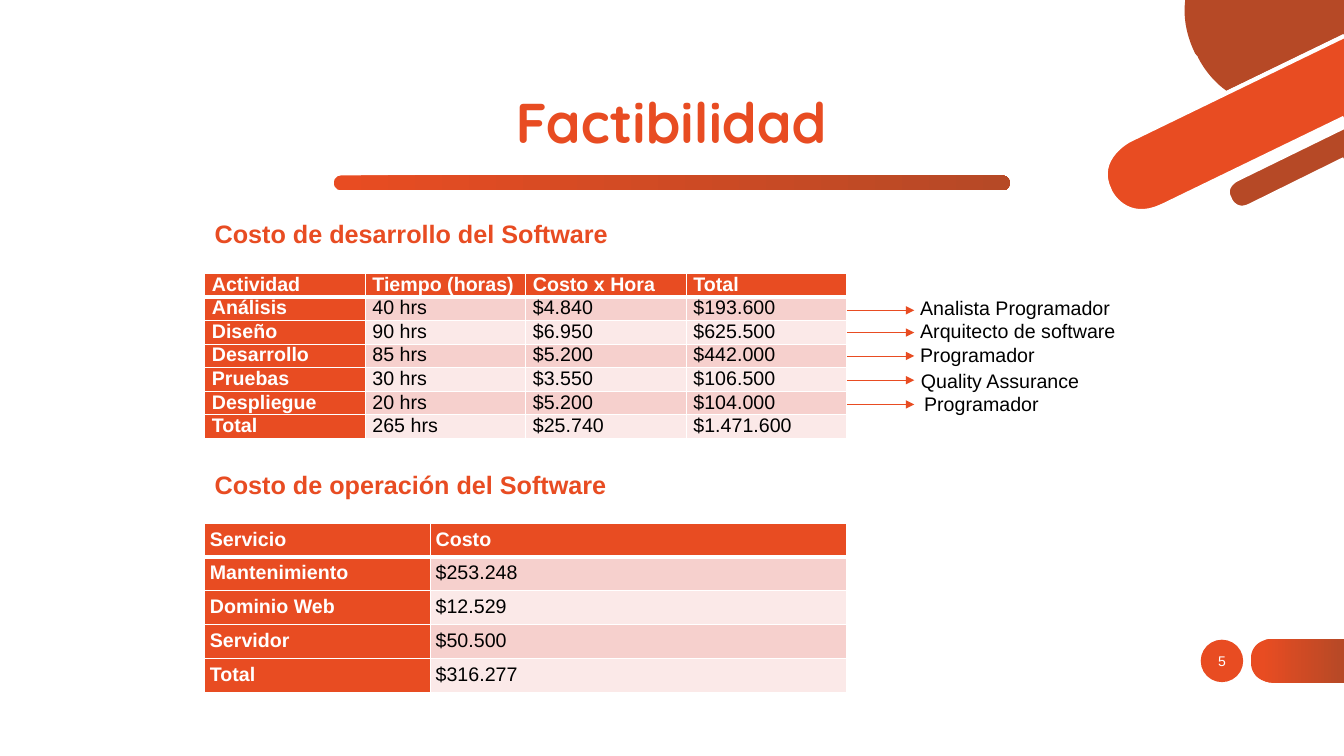
"""Build the feasibility slide with development and operation cost tables."""
from lxml import etree
from pptx import Presentation
from pptx.dml.color import RGBColor
from pptx.enum.shapes import MSO_CONNECTOR, MSO_SHAPE
from pptx.enum.text import MSO_ANCHOR, PP_ALIGN
from pptx.oxml.ns import qn
from pptx.util import Cm, Pt

STRAIGHT = MSO_CONNECTOR.STRAIGHT
OVAL, ROUNDED = MSO_SHAPE.OVAL, MSO_SHAPE.ROUNDED_RECTANGLE
TOP, MIDDLE, BOTTOM = MSO_ANCHOR.TOP, MSO_ANCHOR.MIDDLE, MSO_ANCHOR.BOTTOM
LEFT, CENTER, JUSTIFY = PP_ALIGN.LEFT, PP_ALIGN.CENTER, PP_ALIGN.JUSTIFY

ORANGE = RGBColor(0xE8, 0x4C, 0x22)
RUST = RGBColor(0xB6, 0x49, 0x26)
PINK = RGBColor(0xF6, 0xD0, 0xCD)
PALE = RGBColor(0xFB, 0xE9, 0xE8)
WHITE = RGBColor(0xFF, 0xFF, 0xFF)
BLACK = RGBColor(0x00, 0x00, 0x00)

TITLE = "Factibilidad"
PAGE_NUMBER = "5"
HEADINGS = [
    ("Costo de desarrollo del Software", 5.46),
    ("Costo de operación del Software", 11.79),
]
DEVELOPMENT = [
    ("Actividad", "Tiempo (horas)", "Costo x Hora", "Total"),
    ("Análisis", "40 hrs", "$4.840", "$193.600"),
    ("Diseño", "90 hrs", "$6.950", "$625.500"),
    ("Desarrollo", "85 hrs", "$5.200", "$442.000"),
    ("Pruebas", "30 hrs", "$3.550", "$106.500"),
    ("Despliegue", "20 hrs", "$5.200", "$104.000"),
    ("Total", "265 hrs", "$25.740", "$1.471.600"),
]
OPERATION = [
    ("Servicio", "Costo"),
    ("Mantenimiento", "$253.248"),
    ("Dominio Web", "$12.529"),
    ("Servidor", "$50.500"),
    ("Total", "$316.277"),
]
ROLES = [
    ("Analista Programador", 22.94, 7.34, 7.82),
    ("Arquitecto de software", 22.94, 7.92, 8.38),
    ("Programador", 22.94, 8.51, 8.97),
    ("Quality Assurance", 22.96, 9.17, 9.58),
    ("Programador", 23.04, 9.75, 10.19),
]
TABLE_LEFT, TABLE_WIDTH = 5.16, 16.18
ARROW_LENGTH = 1.7

# Each outline holds a start, then line ends (2 numbers) or cubic curves (6).
DISC = [(30.18, 1.42), (30.18, 1.42, 30.4, 1.93, 30.91, 2.29), (33.87, 0.86),
        (33.87, 0), (29.87, 0), (29.82, 0.38, 29.87, 0.84, 30.12, 1.35)]
WIDE_BAND = [(33.87, 0.91), (28.47, 3.53), (28.47, 3.53, 27.56, 3.99, 27.97, 4.8),
             (27.97, 4.83, 28.37, 5.64, 29.31, 5.18), (33.87, 2.97)]
THIN_BAND = [(33.87, 3.2), (31.17, 4.52), (31.17, 4.52, 30.81, 4.7, 30.99, 5),
             (30.99, 5.03, 31.14, 5.36, 31.5, 5.18), (33.87, 4.01)]
PAGE_TAB = [(33.87, 17.2), (32.05, 17.2), (32.05, 17.2, 31.52, 17.2, 31.52, 16.64),
            (31.52, 16.1, 32.05, 16.1, 32.05, 16.1), (33.87, 16.1)]


def trace(outline, steps=16):
    points = [outline[0]]
    for segment in outline[1:]:
        if len(segment) == 2:
            points.append(segment)
            continue
        x0, y0 = points[-1]
        x1, y1, x2, y2, x3, y3 = segment
        for step in range(1, steps + 1):
            t = step / steps
            a, b, c, d = (1 - t) ** 3, 3 * t * (1 - t) ** 2, 3 * t * t * (1 - t), t ** 3
            points.append((a * x0 + b * x1 + c * x2 + d * x3,
                           a * y0 + b * y1 + c * y2 + d * y3))
    return [(Cm(x), Cm(y)) for x, y in points]


def add_outline(slide, outline, color=None):
    start, *rest = trace(outline)
    builder = slide.shapes.build_freeform(*start)
    builder.add_line_segments(rest, close=color is not None)
    shape = builder.convert_to_shape()
    shape.shadow.inherit = False
    if color is None:
        shape.fill.background()
        shape.line.color.rgb = WHITE
        shape.line.width = Pt(3)
    else:
        paint(shape, color)
    return shape


def paint(shape, color):
    shape.shadow.inherit = False
    shape.fill.solid()
    shape.fill.fore_color.rgb = color
    shape.line.fill.background()


def paint_gradient(shape, start=0):
    paint(shape, ORANGE)
    shape.fill.gradient()
    shape.fill.gradient_angle = 0
    for stop, color, position in zip(shape.fill.gradient_stops, (ORANGE, RUST), (start, 1)):
        stop.color.rgb = color
        stop.position = position


def write(frame, text, size, color, bold=False, align=LEFT, anchor=TOP, name="Arial"):
    frame.word_wrap = True
    frame.vertical_anchor = anchor
    paragraph = frame.paragraphs[0]
    paragraph.text = text
    paragraph.alignment = align
    font = paragraph.font
    font.name, font.size, font.bold = name, Pt(size), bold
    font.color.rgb = color
    return paragraph


def add_text(slide, box, *args, **options):
    frame = slide.shapes.add_textbox(*map(Cm, box)).text_frame
    return write(frame, *args, **options)


def add_borders(cell, row):
    properties = cell._tc.get_or_add_tcPr()
    for side in "LRTB":
        heavy = (row, side) in ((0, "B"), (1, "T"))
        line = etree.SubElement(properties, qn(f"a:ln{side}"), w=str(Pt(3 if heavy else 1)))
        fill = etree.SubElement(line, qn("a:solidFill"))
        etree.SubElement(fill, qn("a:srgbClr"), val=str(WHITE))


def add_cost_table(slide, rows, top, widths, row_height, side_margin, edge_margin):
    table = slide.shapes.add_table(
        len(rows), len(widths), Cm(TABLE_LEFT), Cm(top),
        Cm(TABLE_WIDTH), Cm(row_height * len(rows))).table
    for column, width in zip(table.columns, widths):
        column.width = Cm(width)
    for r, values in enumerate(rows):
        table.rows[r].height = Cm(row_height)
        for c, value in enumerate(values):
            cell = table.cell(r, c)
            label = r == 0 or c == 0
            cell.margin_left = cell.margin_right = Cm(side_margin)
            cell.margin_top = cell.margin_bottom = Cm(edge_margin)
            add_borders(cell, r)
            cell.fill.solid()
            cell.fill.fore_color.rgb = ORANGE if label else PINK if r % 2 else PALE
            write(cell.text_frame, value, 14, WHITE if label else BLACK, bold=label)


def add_arrow(slide, y):
    left = TABLE_LEFT + TABLE_WIDTH
    arrow = slide.shapes.add_connector(
        STRAIGHT, Cm(left), Cm(y), Cm(left + ARROW_LENGTH), Cm(y))
    arrow.line.color.rgb = ORANGE
    arrow.line.width = Pt(0.5)
    etree.SubElement(arrow.line._get_or_add_ln(), qn("a:tailEnd"), type="triangle")
    etree.SubElement(arrow._element.spPr, qn("a:effectLst"))


def main():
    presentation = Presentation()
    presentation.slide_width, presentation.slide_height = Cm(33.87), Cm(19.05)
    slide = presentation.slides.add_slide(presentation.slide_layouts[6])

    badge = slide.shapes.add_shape(OVAL, Cm(30.26), Cm(16.12), Cm(1.07), Cm(1.07))
    paint(badge, ORANGE)
    frame = badge.text_frame
    frame.margin_left = frame.margin_right = frame.margin_top = frame.margin_bottom = 0
    write(frame, PAGE_NUMBER, 10, WHITE, align=CENTER, anchor=MIDDLE)
    paint_gradient(add_outline(slide, PAGE_TAB, ORANGE), 0.12)
    rule = slide.shapes.add_shape(ROUNDED, Cm(8.41), Cm(4.42), Cm(17.04), Cm(0.38))
    rule.adjustments[0] = 0.5
    paint_gradient(rule)

    add_outline(slide, DISC, RUST)
    for band, color in ((WIDE_BAND, ORANGE), (THIN_BAND, RUST)):
        add_outline(slide, band, color)
        add_outline(slide, band)

    title = add_text(slide, (2.31, 2.16, 29.21, 1.88), TITLE, 40, ORANGE, bold=True,
                     align=CENTER, anchor=BOTTOM, name="Quicksand")
    title.line_spacing = 0.9
    for text, top in HEADINGS:
        heading = add_text(slide, (TABLE_LEFT, top, 10.69, 1.37), text, 18, ORANGE,
                           bold=True, align=JUSTIFY)
        heading.line_spacing = 0.9

    add_cost_table(slide, DEVELOPMENT, 6.89, [TABLE_WIDTH / 4] * 4, 0.55, 0.18, 0)
    add_cost_table(slide, OPERATION, 13.18, [5.69, TABLE_WIDTH - 5.69], 0.85, 0.13, 0.13)
    for role, left, top, arrow_y in ROLES:
        add_arrow(slide, arrow_y)
        add_text(slide, (left, top, 5.8, 0.86), role, 14, BLACK)

    presentation.save("out.pptx")


if __name__ == "__main__":
    main()
